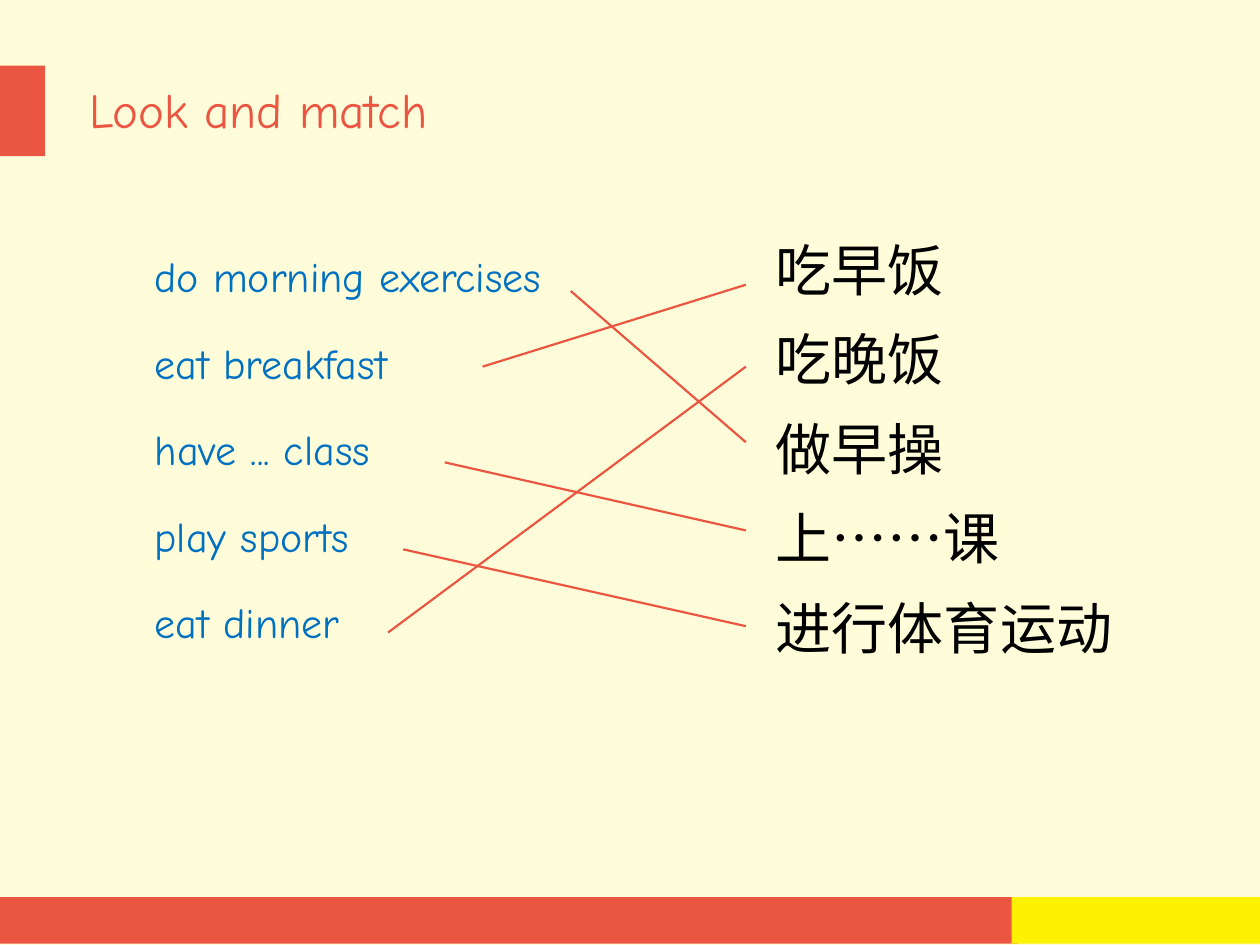
from dataclasses import dataclass

from lxml.etree import SubElement
from pptx import Presentation
from pptx.dml.color import RGBColor
from pptx.enum.shapes import MSO_CONNECTOR as Conn, MSO_SHAPE as Shape
from pptx.enum.text import MSO_AUTO_SIZE as Fit
from pptx.oxml.ns import qn
from pptx.util import Inches, Pt

COLS, ROWS = 100, 75
CELL = Inches(10) // COLS
COLORS = {"cream": "FFFCDA", "red": "EA5642", "yellow": "FEF200",
          "blue": "0070C0", "black": "000000"}
LATIN, CHINESE = "Comic Neue", "Noto Sans CJK SC"
PHRASES = ["do morning exercises", "eat breakfast", "have ... class",
           "play sports", "eat dinner"]
MEANINGS = ["吃早饭", "吃晚饭", "做早操", "上……课", "进行体育运动"]
MATCHES = [((34, 4.9), 16.9), ((27, 10.9), 4.4), ((24, 18.5), 23.9),
           ((20.7, 25.4), 31.5), ((19.5, 32), 10.9)]


@dataclass
class Box:
    """A region measured in grid columns and rows."""
    x: float
    y: float
    w: float
    h: float

    def inner(self, x, y, w, h):
        """Return a region offset from this one."""
        return Box(self.x + x, self.y + y, w, h)

    def emu(self):
        """Return left, top, width and height in EMU."""
        return [round(v * CELL) for v in (self.x, self.y, self.w, self.h)]


def rgb(name):
    """Look up a named colour."""
    return RGBColor.from_string(COLORS[name])


def add_block(s, box, color):
    """Add a plain filled rectangle."""
    sp = s.shapes.add_shape(Shape.RECTANGLE, *box.emu())
    sp.shadow.inherit = False
    sp.fill.solid()
    sp.fill.fore_color.rgb = rgb(color)
    sp.line.fill.background()


def add_text(s, box, lines, size, font, color, before=0, spacing=None):
    """Add paragraphs in one style, with space before as a percentage."""
    tf = s.shapes.add_textbox(*box.emu()).text_frame
    tf.word_wrap = True
    tf.auto_size = Fit.SHAPE_TO_FIT_TEXT
    tf.text = "\n".join(lines)
    for p in tf.paragraphs:
        if spacing:
            p.line_spacing = spacing
        if before:
            p.space_before = Pt(0)
            gap = p._p.pPr.find(qn("a:spcBef"))
            gap.clear()
            SubElement(gap, qn("a:spcPct"), val=str(before * 1000))
        for r in p.runs:
            r.font.size, r.font.name = Pt(size), font
            r.font.color.rgb = rgb(color)
            SubElement(r._r.rPr, qn("a:ea"), typeface=font)


def add_line(s, start, end):
    """Draw a red matching line between two grid points."""
    points = [round(v * CELL) for v in (*start, *end)]
    c = s.shapes.add_connector(Conn.STRAIGHT, *points)
    c.line.color.rgb = rgb("red")
    c.line.width = Pt(1.25)
    SubElement(c._element.spPr, qn("a:effectLst"))


def add_backdrop(s, box):
    """Fill the page and its two-colour footer band."""
    add_block(s, box, "cream")
    footer = box.inner(0, 71.2, box.w, 3.7)
    add_block(s, footer.inner(0, 0, 80.8, footer.h), "red")
    add_block(s, footer.inner(80.3, 0, 19.7, footer.h), "yellow")


def add_heading(s, box, text):
    """Place the side tab and the title."""
    add_block(s, box.inner(0, 0, 3.6, box.h), "red")
    add_text(s, box.inner(6.1, 0.6, 39.2, 5.7), [text], 28, LATIN, "red", 50)


def add_matching(s, box):
    """Place phrases, meanings and the lines that join them."""
    add_text(s, box.inner(0, 0, 90, box.h), PHRASES, 24, LATIN, "blue", 50, 1.3)
    for i, meaning in enumerate(MEANINGS):
        add_text(s, box.inner(49.3, 7.1 * i, 34.5, 6.4), [meaning],
                 32, CHINESE, "black")
    for (x, y), end_y in MATCHES:
        add_line(s, (box.x + x, box.y + y), (box.x + 47.9, box.y + end_y))


def main():
    """Build and save the slide."""
    prs = Presentation()
    prs.slide_width, prs.slide_height = COLS * CELL, ROWS * CELL
    s = prs.slides.add_slide(prs.slide_layouts[6])
    page = Box(0, 0, COLS, ROWS)
    add_backdrop(s, page)
    add_heading(s, page.inner(0, 5.2, COLS, 7.2), "Look and match")
    add_matching(s, page.inner(11.3, 18.2, 83.8, 34.9))
    prs.save("out.pptx")


if __name__ == "__main__":
    main()
